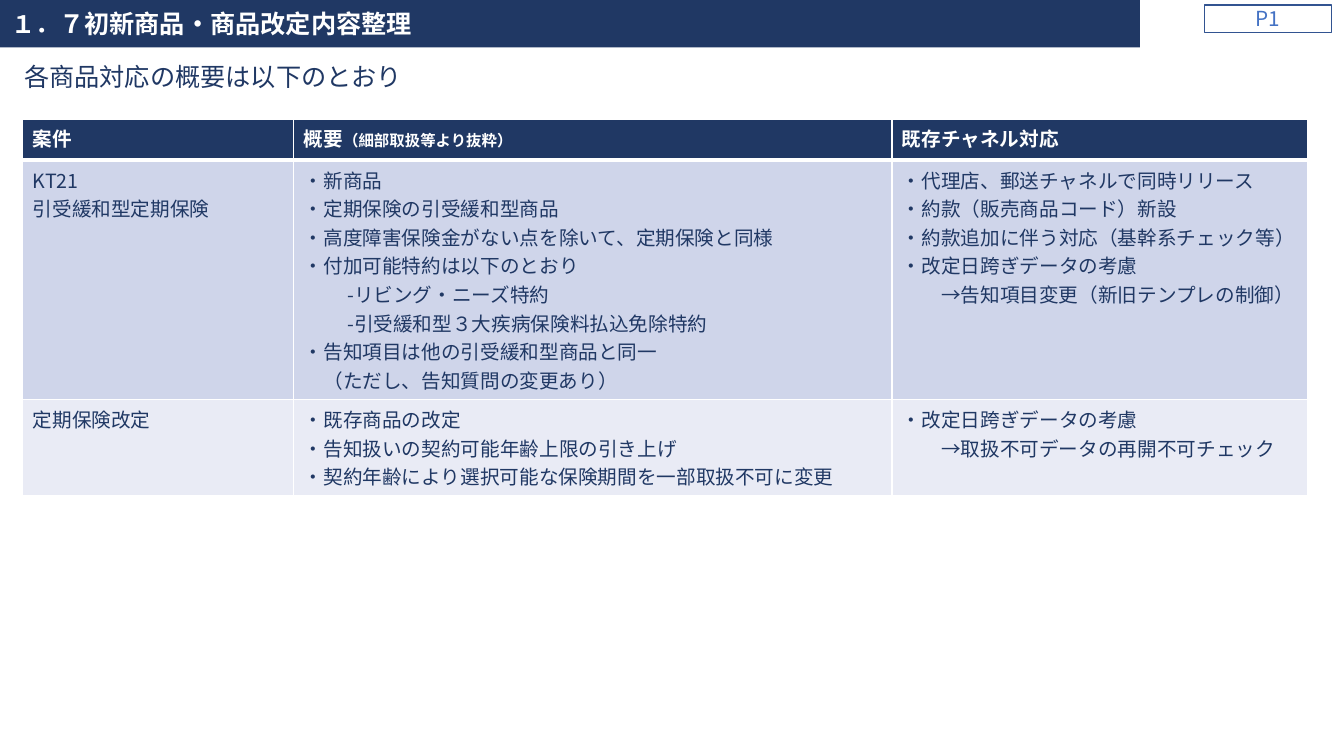
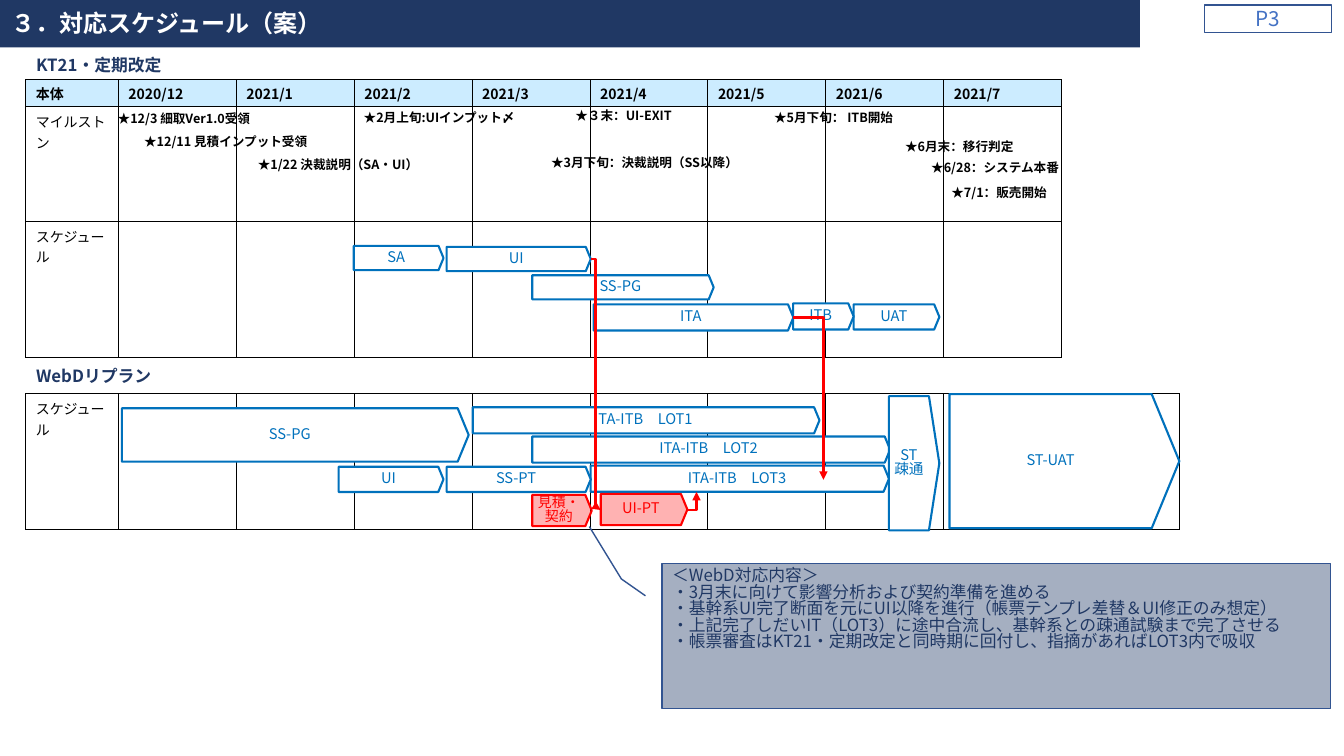
import dataclasses
import lxml.etree
import pptx
import pptx.dml.color
import pptx.enum.shapes
import pptx.enum.text
import pptx.oxml.ns
import pptx.util

Pt = pptx.util.Pt
qn = pptx.oxml.ns.qn
SubElement = lxml.etree.SubElement
MSO_SHAPE = pptx.enum.shapes.MSO_SHAPE
MSO_CONNECTOR = pptx.enum.shapes.MSO_CONNECTOR
MSO_ANCHOR = pptx.enum.text.MSO_ANCHOR
PP_ALIGN = pptx.enum.text.PP_ALIGN


@dataclasses.dataclass(frozen=True)
class Theme:
    font: str = "Noto Sans CJK JP"
    navy: str = "203864"
    frame: str = "325491"
    badge: str = "4472C4"
    bar: str = "0071BC"
    alert: str = "FF0000"
    white: str = "FFFFFF"
    black: str = "000000"
    month: str = "CCECFF"
    band_dark: str = "CFD5EA"
    band_light: str = "E9EBF5"
    title: float = 18
    title_small: float = 17.2
    badge_size: float = 14.8
    lead: float = 18
    body: float = 14
    note: float = 11
    heading: float = 12
    bar_size: float = 10.5
    grid: float = 10
    milestone: float = 9
    lead_spacing: float = 0.9
    tight: float = 0.82


theme = Theme()
indents = {"-": 31, "→": 28, "（": 14}


def write(frame, paragraphs, size, color, bold=False, align=PP_ALIGN.LEFT, spacing=1.0):
    for index, content in enumerate(paragraphs):
        paragraph = frame.paragraphs[0] if index == 0 else frame.add_paragraph()
        runs = [(content, size)] if isinstance(content, str) else content
        for name, value in {"alignment": align, "line_spacing": spacing}.items():
            setattr(paragraph, name, value)
        indent = indents.get(runs[0][0][0], 0)
        if indent:
            paragraph._p.get_or_add_pPr().set("marL", str(Pt(indent)))
        for text, run_size in runs:
            run = paragraph.add_run()
            run.text = text
            font_format = {"size": Pt(run_size), "bold": bold, "name": theme.font}
            for name, value in font_format.items():
                setattr(run.font, name, value)
            run.font.color.rgb = pptx.dml.color.RGBColor.from_string(color)
            SubElement(run.font._element, qn("a:ea")).set("typeface", theme.font)


def add_box(slide, kind, bounds, paragraphs, size, color, fill=None, line=None,
            width=1.5, opacity=100, inset=None, adjustments=(),
            anchor=MSO_ANCHOR.TOP, **text_format):
    bounds = [Pt(length) for length in bounds]
    if kind is None:
        shape = slide.shapes.add_textbox(*bounds)
    else:
        shape = slide.shapes.add_shape(kind, *bounds)
        shape.shadow.inherit = False
        for index, value in enumerate(adjustments):
            shape.adjustments[index] = value
        shape.fill.solid()
        shape.fill.fore_color.rgb = pptx.dml.color.RGBColor.from_string(fill)
        if opacity < 100:
            rgb = shape.element.spPr.find(qn("a:solidFill"))[0]
            SubElement(rgb, qn("a:alpha")).set("val", str(opacity * 1000))
        shape.line.color.rgb = pptx.dml.color.RGBColor.from_string(line)
        shape.line.width = Pt(width)
    frame = shape.text_frame
    for name, value in {"word_wrap": True, "vertical_anchor": anchor}.items():
        setattr(frame, name, value)
    if inset is not None:
        for side in ("left", "top", "right", "bottom"):
            setattr(frame, "margin_" + side, Pt(inset))
    write(frame, paragraphs, size, color, **text_format)


presentation = pptx.Presentation()
presentation.slide_width = Pt(960)
presentation.slide_height = Pt(540)

headings = [
    ("P1", [("１．", theme.title_small), ("７初新商品・商品改定内容整理", theme.title)]),
    ("P3", [("３．対応スケジュール（案）", theme.title_small)]),
]
for page, title_runs in headings:
    slide = presentation.slides.add_slide(presentation.slide_layouts[5])
    title = slide.shapes.title
    band = {"left": -0.7, "top": -0.7, "width": 815, "height": 34.6}
    for name, value in band.items():
        setattr(title, name, Pt(value))
    title.fill.solid()
    title.fill.fore_color.rgb = pptx.dml.color.RGBColor.from_string(theme.navy)
    title_format = {
        "auto_size": pptx.enum.text.MSO_AUTO_SIZE.NONE, "word_wrap": False,
        "vertical_anchor": MSO_ANCHOR.MIDDLE,
        "margin_left": Pt(8.64), "margin_right": Pt(8.64),
        "margin_top": Pt(4.32), "margin_bottom": Pt(4.32),
    }
    for name, value in title_format.items():
        setattr(title.text_frame, name, value)
    write(title.text_frame, [title_runs], theme.title, theme.white, bold=True)
    add_box(slide, MSO_SHAPE.RECTANGLE, (860.4, 3.6, 90.7, 19.4), [page],
            theme.badge_size, theme.badge, fill=theme.white, line=theme.frame,
            width=0.75, inset=0, anchor=MSO_ANCHOR.MIDDLE, align=PP_ALIGN.CENTER)

overview, schedule = presentation.slides

overview_rows = [
    [["案件"], [[("概要", theme.body), ("（細部取扱等より抜粋）", theme.note)]], ["既存チャネル対応"]],
    [
        ["KT21", "引受緩和型定期保険"],
        ["・新商品", "・定期保険の引受緩和型商品",
         "・高度障害保険金がない点を除いて、定期保険と同様",
         "・付加可能特約は以下のとおり", "-リビング・ニーズ特約",
         "-引受緩和型３大疾病保険料払込免除特約",
         "・告知項目は他の引受緩和型商品と同一", "（ただし、告知質問の変更あり）"],
        ["・代理店、郵送チャネルで同時リリース", "・約款（販売商品コード）新設",
         "・約款追加に伴う対応（基幹系チェック等）", "・改定日跨ぎデータの考慮",
         "→告知項目変更（新旧テンプレの制御）"],
    ],
    [
        ["定期保険改定"],
        ["・既存商品の改定", "・告知扱いの契約可能年齢上限の引き上げ",
         "・契約年齢により選択可能な保険期間を一部取扱不可に変更"],
        ["・改定日跨ぎデータの考慮", "→取扱不可データの再開不可チェック"],
    ],
]
months = ["2020/12"] + [f"2021/{month}" for month in range(1, 8)]
plan_rows = [
    [["本体"]] + [[month] for month in months],
    [["マイルストン"]] + [[]] * 8,
    [["スケジュール"]] + [[]] * 8,
]
replan_rows = [[["スケジュール"]] + [[]] * 9]
label_width, month_width = 66.2, 84.24

tables = [
    (overview, 16.2, 85, [193.6, 427.3, 297.1], [29.5, 171, 68], overview_rows,
     [theme.navy, theme.band_dark, theme.band_light], theme.body,
     theme.white, theme.navy, (theme.white, 1, 3)),
    (schedule, 18.4, 57, [label_width] + [month_width] * 8, [19.3, 82, 97.2], plan_rows,
     [theme.month, theme.white, theme.white], theme.grid,
     theme.black, theme.black, (theme.black, 0.75, 0.75)),
    (schedule, 18.4, 281.3, [label_width] + [month_width] * 9, [97.2], replan_rows,
     [theme.white], theme.grid, theme.black, theme.black, (theme.black, 0.75, 0.75)),
]
for slide, left, top, widths, heights, rows, fills, size, head_color, color, border in tables:
    table = slide.shapes.add_table(
        len(rows), len(widths), Pt(left), Pt(top), Pt(sum(widths)), Pt(sum(heights))).table
    for name in ("first_row", "horz_banding"):
        setattr(table, name, False)
    for column, width in zip(table.columns, widths):
        column.width = Pt(width)
    for row_index, row in enumerate(rows):
        is_head = row_index == 0 and len(rows) > 1
        table.rows[row_index].height = Pt(heights[row_index])
        for column_index, paragraphs in enumerate(row):
            cell = table.cell(row_index, column_index)
            properties = cell._tc.get_or_add_tcPr()
            border_color, thin, under_head = border
            for side in ("lnL", "lnR", "lnT", "lnB"):
                at_head_edge = (is_head and side == "lnB") or (row_index == 1 and side == "lnT")
                edge = SubElement(properties, qn("a:" + side))
                edge.set("w", str(Pt(under_head if at_head_edge else thin)))
                edge_fill = SubElement(edge, qn("a:solidFill"))
                SubElement(edge_fill, qn("a:srgbClr")).set("val", border_color)
            cell.fill.solid()
            cell.fill.fore_color.rgb = pptx.dml.color.RGBColor.from_string(fills[row_index])
            if is_head and slide is schedule:
                cell.margin_top, cell.margin_bottom = Pt(2.7), Pt(2)
            write(cell.text_frame, paragraphs, size, head_color if is_head else color, bold=is_head)

add_box(overview, None, (10.1, 42.5, 924.5, 28.8), ["各商品対応の概要は以下のとおり"],
        theme.lead, theme.navy, spacing=theme.lead_spacing)

for top, text in [(37.4, "KT21・定期改定"), (259.2, "WebDリプラン")]:
    add_box(schedule, None, (18.7, top, 118.8, 21.6), [text],
            theme.heading, theme.navy, bold=True, spacing=theme.lead_spacing)

milestones = [
    (252.7, 77, 126.7, "★2月上旬:UIインプット〆"),
    (77, 77.8, 139.7, "★12/3 細取Ver1.0受領"),
    (95.8, 94.3, 139.7, "★12/11 見積インプット受領"),
    (177.1, 110.2, 139.7, "★1/22 決裁説明（SA・UI）"),
    (403.9, 75.6, 149.8, "★３末：UI-EXIT"),
    (386.6, 108.7, 172.8, "★3月下旬：決裁説明（SS以降）"),
    (545.8, 77, 125.3, "★5月下旬： ITB開始"),
    (639.4, 97.9, 139.7, "★6月末：移行判定"),
    (658.1, 112.3, 139.7, "★6/28：システム本番"),
    (672.5, 130.3, 139.7, "★7/1：販売開始"),
]
for left, top, width, text in milestones:
    add_box(schedule, None, (left, top, width, 18), [text],
            theme.milestone, theme.black, bold=True, spacing=theme.tight)

work = {"color": theme.bar, "line": theme.bar, "fill": theme.white, "size": theme.bar_size}
added = {**work, "color": theme.alert, "line": theme.alert, "fill": theme.alert, "opacity": 30}
bars = [
    ((252.7, 175.7, 64.1, 17.3), ["SA"], work),
    ((424.1, 217.4, 142.6, 18.7), ["ITA"], work),
    ((319, 176.4, 103, 17.3), ["UI"], work),
    ((609.8, 217.4, 61.2, 18), ["UAT"], work),
    ((566.6, 216.7, 43.2, 18.7), ["ITB"], work),
    ((380.2, 196.6, 129.6, 17.3), ["SS-PG"], work),
    ((87.1, 291.6, 247.7, 38.2), ["SS-PG"], work),
    ((337.7, 290.9, 247.7, 18.7), ["ITA-ITB　LOT1"], work),
    ((380.2, 311.8, 255.6, 18.7), ["ITA-ITB　LOT2"], work),
    ((421.9, 332.6, 213.1, 18.7), ["ITA-ITB　LOT3"], work),
    ((635, 283, 36, 95.8), ["ST", "疎通"], work),
    ((678.2, 281.5, 164.2, 95.8), ["ST-UAT"], work),
    ((241.9, 333.4, 74.9, 18), ["UI"], work),
    ((319, 333.4, 103, 18), ["SS-PT"], work),
    ((429.1, 352.8, 61.9, 22.3), ["UI-PT"], added),
    ((380.2, 353.5, 42.5, 22.3), ["見積・契約"], {**added, "size": theme.grid}),
]
for bounds, paragraphs, style in bars:
    add_box(schedule, MSO_SHAPE.RIGHT_ARROW, bounds, paragraphs, **style, inset=1.44,
            adjustments=(1, 0.206), anchor=MSO_ANCHOR.MIDDLE,
            align=PP_ALIGN.CENTER, spacing=theme.tight)

handovers = [
    ("bentConnector3", 421.9, 185, 429.1, 364.3),
    ("bentConnector2", 490.3, 364.3, 497.5, 351.4),
    ("bentConnector2", 566.6, 226.8, 588.2, 342.7),
]
for preset, *ends in handovers:
    connector = schedule.shapes.add_connector(MSO_CONNECTOR.ELBOW, *[Pt(end) for end in ends])
    connector.line.color.rgb = pptx.dml.color.RGBColor.from_string(theme.alert)
    connector.line.width = Pt(2)
    properties = connector.element.spPr
    properties.find(qn("a:prstGeom")).set("prst", preset)
    SubElement(properties.find(qn("a:ln")), qn("a:tailEnd")).set("type", "triangle")
    SubElement(properties, qn("a:effectLst"))

replan_notes = [
    "＜WebD対応内容＞",
    "・3月末に向けて影響分析および契約準備を進める",
    "・基幹系UI完了断面を元にUI以降を進行（帳票テンプレ差替＆UI修正のみ想定）",
    "・上記完了しだいIT（LOT3）に途中合流し、基幹系との疎通試験まで完了させる",
    "・帳票審査はKT21・定期改定と同時期に回付し、指摘があればLOT3内で吸収",
]
add_box(schedule, MSO_SHAPE.LINE_CALLOUT_2, (473, 402.5, 477.4, 103.7), replan_notes,
        theme.heading, theme.navy, fill=theme.navy, line=theme.frame, width=1, opacity=40,
        adjustments=(0.223, -0.025, 0.107, -0.061, -0.254, -0.109), spacing=theme.tight)

presentation.save("out.pptx")
